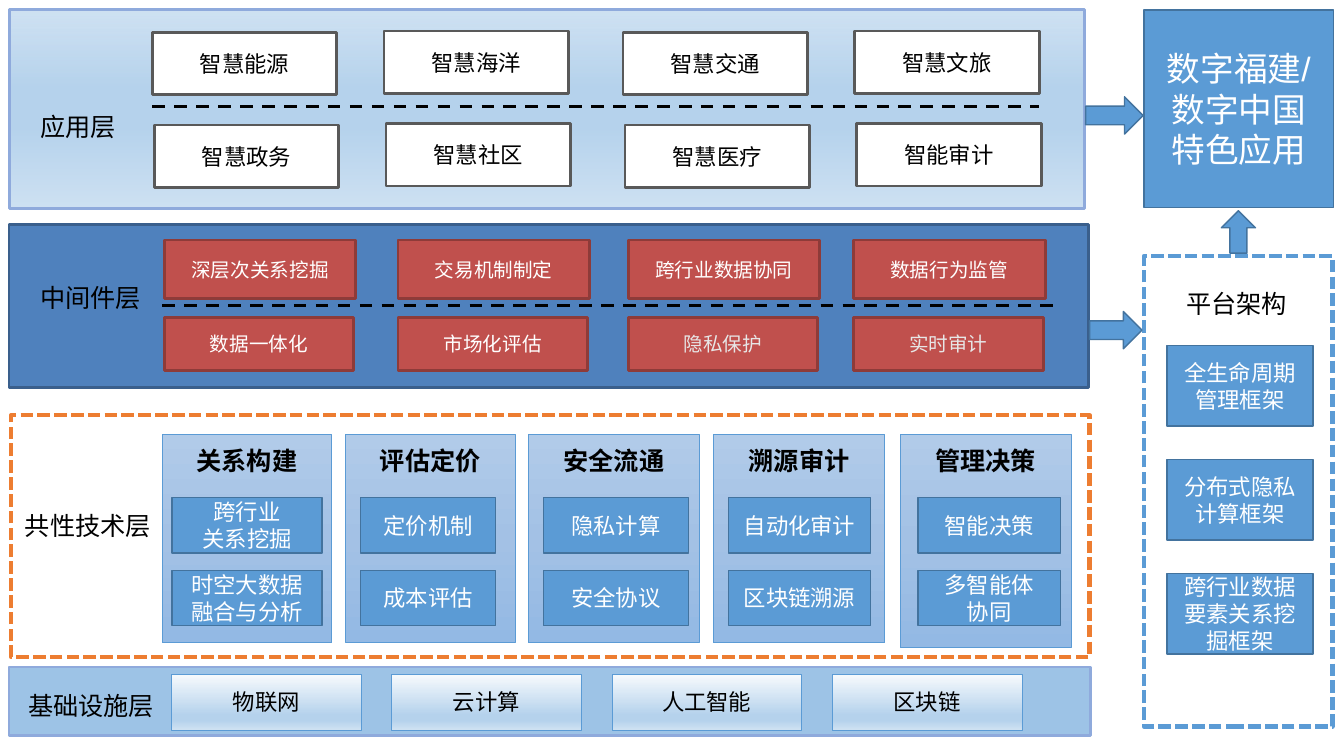
from lxml import etree
from pptx import Presentation
from pptx.dml.color import RGBColor
from pptx.enum.dml import MSO_LINE_DASH_STYLE as Dash
from pptx.enum.shapes import MSO_CONNECTOR as Connector, MSO_SHAPE as Shape
from pptx.enum.text import MSO_ANCHOR as Anchor, PP_ALIGN as Align
from pptx.oxml import parse_xml
from pptx.oxml.ns import nsdecls, qn
from pptx.util import Cm, Pt

COLORS = {
    "white": "FFFFFF", "black": "000000", "pale": "E7E6E6", "grey": "595959",
    "blue": "5B9BD5", "blue_edge": "43739E", "navy": "4F81BD", "navy_edge": "3A5F8C",
    "red": "C0504D", "red_edge": "8E3B39", "sky": "9DC3E6", "sky_edge": "8FAADC",
    "ice": "B5D2EC", "frost": "CEE1F2", "mist": "F7FAFD", "orange": "ED7D31",
    "column_top": "B1CBE9", "column_mid": "A3C1E5", "column_end": "93B9E4",
}
GRADIENTS = {
    "application": [(1, "ice", 65), (40, "ice", 100), (59, "ice", 100), (100, "frost", 100)],
    "infrastructure": [(0, "mist", 100), (74, "ice", 100), (83, "ice", 100), (100, "frost", 100)],
    "column": [(0, "column_top", 100), (50, "column_mid", 100), (100, "column_end", 100)],
}
STYLES = {
    "application": ("application", "sky_edge", 2),
    "middleware": ("navy", "navy_edge", 2),
    "infrastructure": ("sky", "sky_edge", 2),
    "technology": (None, "orange", 3),
    "platform": (None, "blue", 3),
    "white_tile": ("white", "grey", 2),
    "red_tile": ("red", "red_edge", 2),
    "blue_tile": ("blue", "blue_edge", 1),
    "column": ("column", "blue", 0.5),
    "glass_tile": ("infrastructure", "blue", 0.25),
}
FONTS = {
    "label": {"name": "Noto Sans CJK SC", "size": Pt(18), "bold": False},
    "heading": {"name": "Arial", "size": Pt(18), "bold": True},
    "banner": {"name": "Arial", "size": Pt(24), "bold": False},
    "tile": {"name": "Arial", "size": Pt(16), "bold": False},
    "plain_tile": {"name": "DejaVu Sans", "size": Pt(16), "bold": False},
    "small": {"name": "Arial", "size": Pt(14), "bold": False},
    "plain_small": {"name": "DejaVu Sans", "size": Pt(14), "bold": False},
}


def rgb(name):
    """Return the named colour."""
    return RGBColor.from_string(COLORS[name])


def write(frame, text, font, color, align=Align.CENTER):
    """Write each line of text as a paragraph in one font."""
    frame.word_wrap = True
    for index, line in enumerate(text.split("\n")):
        para = frame.add_paragraph() if index else frame.paragraphs[0]
        para.alignment = align
        span = para.add_run()
        span.text = line
        for key, value in FONTS[font].items():
            setattr(span.font, key, value)
        span.font.color.rgb = rgb(color)
        etree.SubElement(span.font._element, qn("a:ea")).set("typeface", "Noto Sans CJK SC")


def fill_gradient(shape, stops):
    """Fill a shape with a vertical gradient."""
    marks = "".join(
        f'<a:gs pos="{at * 1000}"><a:srgbClr val="{COLORS[color]}">'
        f'<a:alpha val="{alpha * 1000}"/></a:srgbClr></a:gs>' for at, color, alpha in stops)
    shape._element.spPr.find(qn("a:prstGeom")).addnext(parse_xml(
        f'<a:gradFill {nsdecls("a")} rotWithShape="1"><a:gsLst>{marks}</a:gsLst>'
        '<a:lin ang="5400000" scaled="0"/></a:gradFill>'))


def add_block(page, box, style, text="", font="tile", color="white", kind=Shape.RECTANGLE):
    """Add a styled shape with centred text."""
    shape = page.shapes.add_shape(kind, *map(Cm, box))
    shape.shadow.inherit = False
    fill, edge, weight = STYLES[style]
    if fill in GRADIENTS:
        fill_gradient(shape, GRADIENTS[fill])
    elif fill:
        shape.fill.solid()
        shape.fill.fore_color.rgb = rgb(fill)
    else:
        shape.fill.background()
        shape.line.dash_style = Dash.SQUARE_DOT
    shape.line.color.rgb = rgb(edge)
    shape.line.width = Pt(weight)
    if text:
        shape.text_frame.vertical_anchor = Anchor.MIDDLE
        write(shape.text_frame, text, font, color)
    return shape


def add_label(page, left, top, text):
    """Add the name of a layer."""
    label = page.shapes.add_textbox(Cm(left), Cm(top), Cm(4), Cm(1.02))
    write(label.text_frame, text, "label", "black", Align.LEFT)


def add_divider(page, start, end, y):
    """Add a dashed horizontal divider."""
    divider = page.shapes.add_connector(Connector.STRAIGHT, Cm(start), Cm(y), Cm(end), Cm(y))
    divider.line.color.rgb = rgb("black")
    divider.line.width = Pt(2.25)
    divider.line.dash_style = Dash.DASH
    etree.SubElement(divider._element.spPr, qn("a:effectLst"))


def add_application_layer(page, box, rows):
    """Draw the application layer with two rows of tiles."""
    left, top = box[:2]
    add_block(page, box, "application")
    add_label(page, left + 0.51, top + 2.44, "应用层")
    for row, names in enumerate(rows):
        for column, (x, name) in enumerate(zip((3.59, 9.43, 15.45, 21.29), names)):
            tile = (left + x + 0.05 * row, top + 0.56 + 2.34 * row - 0.03 * (column % 2), 4.65, 1.57)
            add_block(page, tile, "white_tile", name, "plain_tile", "black")
    add_divider(page, left + 3.59, left + 25.94, top + 2.44)


def add_middleware_layer(page, box, rows):
    """Draw the middleware layer with two rows of tiles."""
    left, top = box[:2]
    add_block(page, box, "middleware")
    add_label(page, left + 0.53, top + 1.33, "中间件层")
    for row, (names, y, width, height) in enumerate(zip(rows, (0.39, 2.34), (4.83, 4.78), (1.47, 1.34))):
        for column, (x, name) in enumerate(zip((3.91, 9.8, 15.6, 21.28), names)):
            font, color = ("plain_small", "pale") if row and column > 1 else ("small", "white")
            add_block(page, (left + x, top + y, width, height), "red_tile", name, font, color)
    add_divider(page, left + 3.86, left + 26.47, top + 2.04)


def add_technology_column(page, box, title, inset, width, names):
    """Draw one technology column with its heading and two tiles."""
    left, top = box[:2]
    column = add_block(page, box, "column", title, "heading", "black")
    column.text_frame.vertical_anchor = Anchor.TOP
    column.text_frame.margin_top = Cm(0.27)
    for row, name in enumerate(names):
        add_block(page, (left + inset, top + 1.6 + 1.83 * row, width, 1.4), "blue_tile", name)


def add_technology_layer(page, box, columns):
    """Draw the common technology layer."""
    left, top = box[:2]
    add_block(page, box, "technology")
    add_label(page, left + 0.1, top + 2.27, "共性技术层")
    for x, width, height, title, inset, tile_width, names in columns:
        column = (left + x, top + 0.48, width, height)
        add_technology_column(page, column, title, inset, tile_width, names)


def add_infrastructure_layer(page, box, names):
    """Draw the infrastructure layer with one row of tiles."""
    left, top = box[:2]
    add_block(page, box, "infrastructure")
    add_label(page, left + 0.23, top + 0.46, "基础设施层")
    for column, name in enumerate(names):
        tile = (left + 4.09 + 5.55 * column, top + 0.18, 4.78, 1.4)
        add_block(page, tile, "glass_tile", name, "plain_tile", "black")


def add_platform(page, box, names):
    """Draw the platform panel with its stacked frameworks."""
    left, top = box[:2]
    add_block(page, box, "platform")
    add_label(page, left + 0.81, top + 0.69, "平台架构")
    for row, name in enumerate(names):
        add_block(page, (left + 0.58, top + 2.26 + 2.87 * row, 3.68, 2.03), "blue_tile", name)


def add_arrows(page):
    """Draw the block arrows between the regions."""
    for kind, box in ((Shape.RIGHT_ARROW, (27.36, 2.44, 1.45, 0.94)),
                      (Shape.RIGHT_ARROW, (27.46, 7.85, 1.32, 0.94)),
                      (Shape.UP_ARROW, (30.78, 5.31, 0.86, 1.07))):
        add_block(page, box, "blue_tile", kind=kind)


def main():
    """Build the architecture slide."""
    deck = Presentation()
    deck.slide_width, deck.slide_height = Cm(33.87), Cm(19.05)
    page = deck.slides.add_slide(deck.slide_layouts[6])
    add_application_layer(page, (0.25, 0.25, 27.08, 5), (
        ("智慧能源", "智慧海洋", "智慧交通", "智慧文旅"),
        ("智慧政务", "智慧社区", "智慧医疗", "智能审计")))
    add_middleware_layer(page, (0.23, 5.66, 27.2, 4.11), (
        ("深层次关系挖掘", "交易机制制定", "跨行业数据协同", "数据行为监管"),
        ("数据一体化", "市场化评估", "隐私保护", "实时审计")))
    add_technology_layer(page, (0.28, 10.46, 27.18, 6.1), (
        (3.81, 4.27, 5.26, "关系构建", 0.25, 3.78, ("跨行业\n关系挖掘", "时空大数据\n融合与分析")),
        (8.43, 4.27, 5.26, "评估定价", 0.38, 3.4, ("定价机制", "成本评估")),
        (13.03, 4.32, 5.26, "安全流通", 0.38, 3.66, ("隐私计算", "安全协议")),
        (17.7, 4.32, 5.26, "溯源审计", 0.38, 3.58, ("自动化审计", "区块链溯源")),
        (22.4, 4.32, 5.38, "管理决策", 0.46, 3.58, ("智能决策", "多智能体\n协同"))))
    add_infrastructure_layer(page, (0.23, 16.81, 27.25, 1.73), ("物联网", "云计算", "人工智能", "区块链"))
    add_platform(page, (28.83, 6.45, 4.75, 11.86), (
        "全生命周期管理框架", "分布式隐私计算框架", "跨行业数据要素关系挖掘框架"))
    add_block(page, (28.83, 0.25, 4.78, 4.98), "blue_tile", "数字福建/\n数字中国\n特色应用", "banner")
    add_arrows(page)
    deck.save("out.pptx")


if __name__ == "__main__":
    main()
